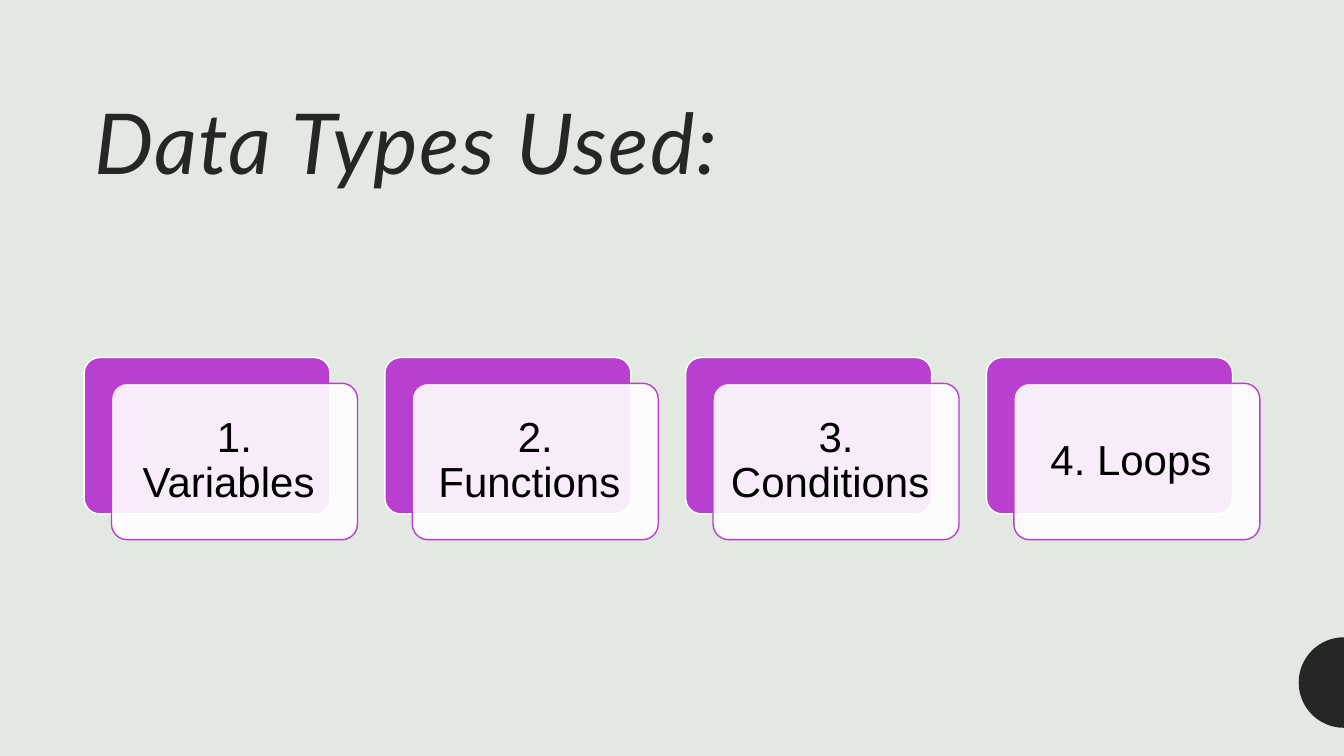
from dataclasses import dataclass
from math import cos, pi, sin

from lxml.etree import SubElement
from pptx import Presentation
from pptx.dml.color import RGBColor
from pptx.enum.shapes import MSO_SHAPE
from pptx.enum.text import MSO_ANCHOR, PP_ALIGN
from pptx.oxml.ns import qn
from pptx.shapes.autoshape import Shape
from pptx.slide import Slide
from pptx.util import Cm, Pt


@dataclass(frozen=True)
class Theme:
    background: RGBColor = RGBColor(0xE3, 0xE8, 0xE2)
    dark: RGBColor = RGBColor(0x26, 0x26, 0x26)
    accent: RGBColor = RGBColor(0xB9, 0x3F, 0xD1)
    white: RGBColor = RGBColor(0xFF, 0xFF, 0xFF)
    black: RGBColor = RGBColor(0, 0, 0)
    title_font: str = "Lato"
    card_font: str = "Arial"
    title_size: Pt = Pt(60)
    card_size: Pt = Pt(30)
    line_width: Pt = Pt(1)


@dataclass(frozen=True)
class Card:
    label: str
    left: float
    top: float = 9.01


THEME = Theme()
SLIDE_WIDTH, SLIDE_HEIGHT = 33.87, 19.05
CARD_WIDTH, CARD_HEIGHT = 6.2, 3.94
CARD_LEFT, CARD_PITCH = 2.12, 7.58
PANEL_SHIFT_X, PANEL_SHIFT_Y = 0.69, 0.65
LABELS = ("1. Variables ", "2. Functions ", "3. Conditions ", "4. Loops ")


def add_title(slide: Slide, text: str) -> None:
    shape = slide.shapes.add_textbox(Cm(2.12), Cm(1.17), Cm(29.63), Cm(3.81))
    shape.text_frame.word_wrap = True
    shape.text_frame.vertical_anchor = MSO_ANCHOR.BOTTOM
    paragraph = shape.text_frame.paragraphs[0]
    paragraph.line_spacing = 0.9
    run = paragraph.add_run()
    run.text = text
    run.font.name = THEME.title_font
    run.font.size = THEME.title_size
    run.font.italic = True
    run.font.color.rgb = THEME.dark
    run.font._element.set("spc", "100")


def add_half_circle(slide: Slide, center_y: float, radius: float, steps: int = 48) -> None:
    angles = [pi * step / steps for step in range(steps + 1)]
    points = [
        (Cm(SLIDE_WIDTH - radius * sin(angle)), Cm(center_y - radius * cos(angle)))
        for angle in angles
    ]
    builder = slide.shapes.build_freeform(*points[0])
    builder.add_line_segments(points[1:], close=True)
    shape = builder.convert_to_shape()
    shape.shadow.inherit = False
    shape.fill.solid()
    shape.fill.fore_color.rgb = THEME.dark
    shape.line.fill.background()


def add_rounded(slide: Slide, left: float, top: float, fill: RGBColor, line: RGBColor) -> Shape:
    shape = slide.shapes.add_shape(
        MSO_SHAPE.ROUNDED_RECTANGLE, Cm(left), Cm(top), Cm(CARD_WIDTH), Cm(CARD_HEIGHT)
    )
    shape.adjustments[0] = 0.1
    shape.shadow.inherit = False
    shape.fill.solid()
    shape.fill.fore_color.rgb = fill
    shape.line.color.rgb = line
    shape.line.width = THEME.line_width
    return shape


def add_card(slide: Slide, card: Card) -> None:
    add_rounded(slide, card.left, card.top, THEME.accent, THEME.white)
    panel = add_rounded(
        slide, card.left + PANEL_SHIFT_X, card.top + PANEL_SHIFT_Y, THEME.white, THEME.accent
    )
    fill_color = panel._element.spPr.find(qn("a:solidFill")).find(qn("a:srgbClr"))
    SubElement(fill_color, qn("a:alpha")).set("val", "90000")
    frame = panel.text_frame
    frame.word_wrap = True
    frame.vertical_anchor = MSO_ANCHOR.MIDDLE
    frame.margin_left = frame.margin_right = Cm(0.29)
    frame.margin_top = frame.margin_bottom = Cm(0.29)
    paragraph = frame.paragraphs[0]
    paragraph.alignment = PP_ALIGN.CENTER
    paragraph.line_spacing = 0.9
    run = paragraph.add_run()
    run.text = card.label
    run.font.name = THEME.card_font
    run.font.size = THEME.card_size
    run.font.color.rgb = THEME.black


def main() -> None:
    presentation = Presentation()
    presentation.slide_width = Cm(SLIDE_WIDTH)
    presentation.slide_height = Cm(SLIDE_HEIGHT)
    slide = presentation.slides.add_slide(presentation.slide_layouts[6])
    slide.background.fill.solid()
    slide.background.fill.fore_color.rgb = THEME.background
    add_title(slide, "Data Types Used:")
    add_half_circle(slide, center_y=17.2, radius=1.14)
    for index, label in enumerate(LABELS):
        add_card(slide, Card(label, CARD_LEFT + index * CARD_PITCH))
    presentation.save("out.pptx")


if __name__ == "__main__":
    main()
